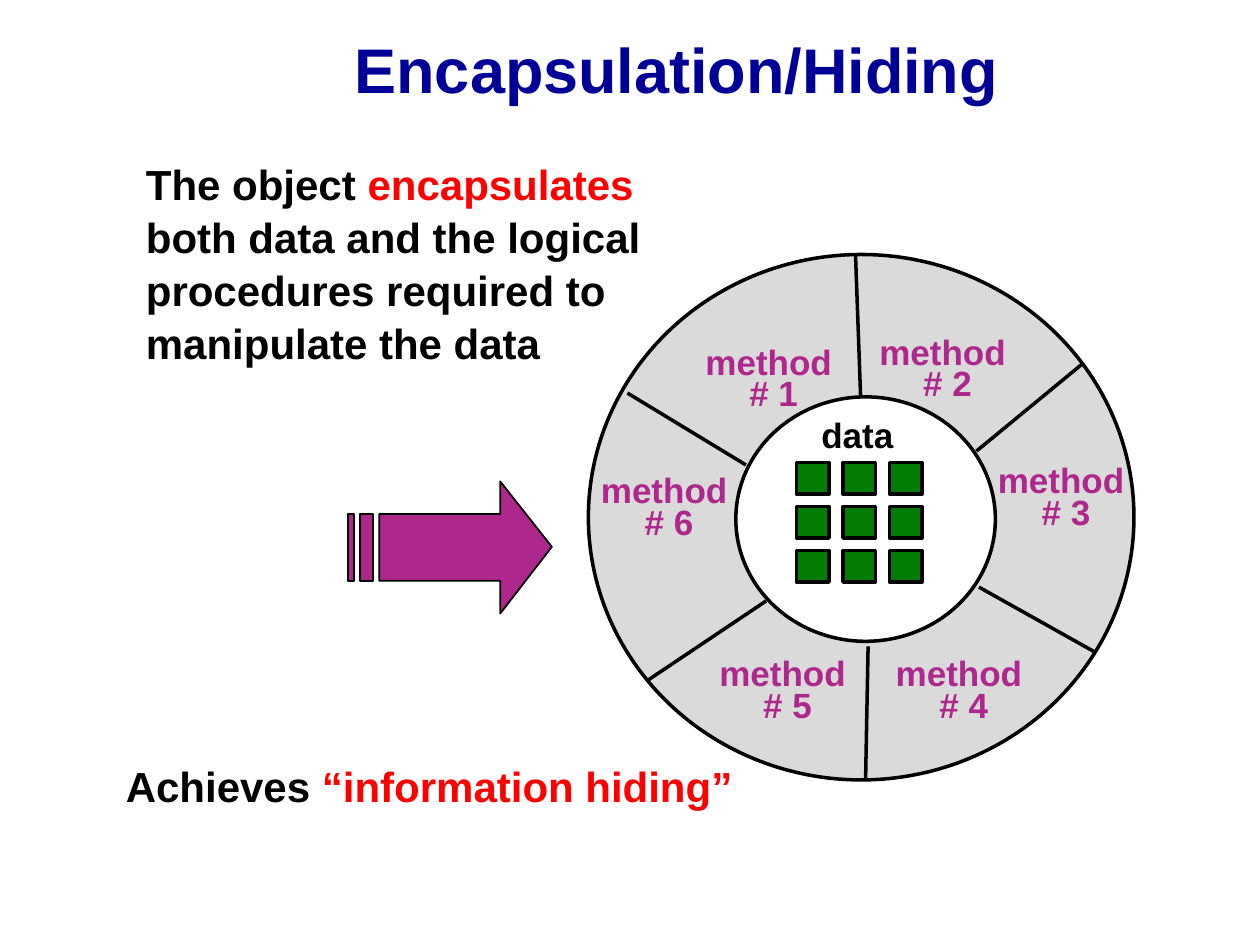
import pptx
import pptx.util
import pptx.dml.color
import pptx.enum.shapes
import pptx.enum.text
import pptx.oxml.ns
import lxml.etree

Inches = pptx.util.Inches
Pt = pptx.util.Pt
RGBColor = pptx.dml.color.RGBColor
MSO_SHAPE = pptx.enum.shapes.MSO_SHAPE
PP_ALIGN = pptx.enum.text.PP_ALIGN

NAVY = RGBColor(0x00, 0x00, 0x99)
BLACK = RGBColor(0x00, 0x00, 0x00)
WHITE = RGBColor(0xFF, 0xFF, 0xFF)
RED = RGBColor(0xFF, 0x00, 0x00)
GRAY = RGBColor(0xDA, 0xDA, 0xDA)
GREEN = RGBColor(0x03, 0x7C, 0x03)
PURPLE = RGBColor(0xAD, 0x27, 0x8D)


def add_text(bounds, lines, size, line_spacing, alignment=PP_ALIGN.LEFT):
    text_box = slide.shapes.add_textbox(*map(Inches, bounds))
    text_frame = text_box.text_frame
    text_frame.word_wrap = False
    text_frame.auto_size = pptx.enum.text.MSO_AUTO_SIZE.SHAPE_TO_FIT_TEXT
    for index, line in enumerate(lines):
        paragraph = text_frame.add_paragraph() if index else text_frame.paragraphs[0]
        paragraph.alignment = alignment
        paragraph.line_spacing = line_spacing
        paragraph.font.name = "Arial"
        paragraph.font.size = Pt(size)
        paragraph.font.bold = True
        for text, color in line:
            run = paragraph.add_run()
            run.text = text
            run.font.color.rgb = color


def style_shape(shape, fill_color, line_width):
    shape.shadow.inherit = False
    shape.fill.solid()
    shape.fill.fore_color.rgb = fill_color
    shape.line.color.rgb = BLACK
    shape.line.width = Pt(line_width)


presentation = pptx.Presentation()
presentation.slide_width = Inches(10)
presentation.slide_height = Inches(7.5)
slide = presentation.slides.add_slide(presentation.slide_layouts[5])

title = slide.shapes.title
title.left, title.top = Inches(2.59), Inches(0.21)
title.width, title.height = Inches(5.56), Inches(0.66)
title.text_frame.text = "Encapsulation/Hiding"
title.text_frame.auto_size = pptx.enum.text.MSO_AUTO_SIZE.NONE
title.text_frame.margin_left = title.text_frame.margin_right = Inches(0.07)
title.text_frame.margin_top = title.text_frame.margin_bottom = Inches(0.03)
paragraph = title.text_frame.paragraphs[0]
paragraph.alignment = PP_ALIGN.CENTER
paragraph.font.name = "Arial"
paragraph.font.size = Pt(36)
paragraph.font.bold = True
paragraph.font.color.rgb = NAVY

add_text((1.06, 1.19, 4.16, 1.78), [
    [("The object ", BLACK), ("encapsulates", RED)],
    [("both data and the logical", BLACK)],
    [("procedures required to", BLACK)],
    [("manipulate the data", BLACK)],
], 24, 1.05)
add_text((0.9, 6.03, 5.05, 0.46),
         [[("Achieves", BLACK), (" “information hiding”", RED)]], 24, 0.9)

for bounds, color in [
    ((4.67, 2.02, 4.33, 4.17), GRAY),
    ((5.84, 3.15, 2.06, 1.94), WHITE),
]:
    ring = slide.shapes.add_shape(MSO_SHAPE.OVAL, *map(Inches, bounds))
    style_shape(ring, color, 2)

for ends in [
    (6.83, 3.14, 6.79, 2.02),
    (7.75, 3.58, 8.6, 2.88),
    (7.77, 4.66, 8.68, 5.17),
    (6.89, 5.13, 6.87, 6.19),
    (6.08, 4.77, 5.14, 5.4),
    (5.92, 3.69, 4.98, 3.12),
]:
    divider = slide.shapes.add_connector(
        pptx.enum.shapes.MSO_CONNECTOR.STRAIGHT, *map(Inches, ends))
    divider.line.color.rgb = BLACK
    divider.line.width = Pt(2)
    lxml.etree.SubElement(divider.element.spPr, pptx.oxml.ns.qn("a:effectLst"))

for row in range(3):
    for column in range(3):
        data_cell = slide.shapes.add_shape(
            MSO_SHAPE.RECTANGLE,
            Inches(6.32 + 0.37 * column), Inches(3.67 + 0.35 * row),
            Inches(0.26), Inches(0.25))
        style_shape(data_cell, GREEN, 2)

add_text((6.42, 3.27, 0.77, 0.4), [[("data", BLACK)]], 20, 0.9)
method_positions = [
    (5.5, 2.73), (6.88, 2.65), (7.82, 3.67),
    (7.01, 5.2), (5.61, 5.2), (4.67, 3.75),
]
for number, (left, top) in enumerate(method_positions, start=1):
    add_text((left, top, 1.28, 0.6),
             [[("method ", PURPLE)], [(f"# {number}", PURPLE)]],
             20, 0.75, PP_ALIGN.CENTER)

arrow_body = [(3.97, 3.82), (3.97, 4.08), (3.01, 4.08), (3.01, 4.61),
              (3.97, 4.61), (3.97, 4.87), (4.38, 4.34)]
stripes = [[(left, 4.08), (left, 4.61), (right, 4.61), (right, 4.08)]
           for left, right in [(2.86, 2.96), (2.76, 2.81)]]
builder = slide.shapes.build_freeform()
for outline in [arrow_body, *stripes]:
    points = [(Inches(x), Inches(y)) for x, y in outline]
    if outline is arrow_body:
        builder = slide.shapes.build_freeform(*points[0])
    else:
        builder.move_to(*points[0])
    builder.add_line_segments(points[1:])
arrow = builder.convert_to_shape()
style_shape(arrow, PURPLE, 1)

presentation.save("out.pptx")
